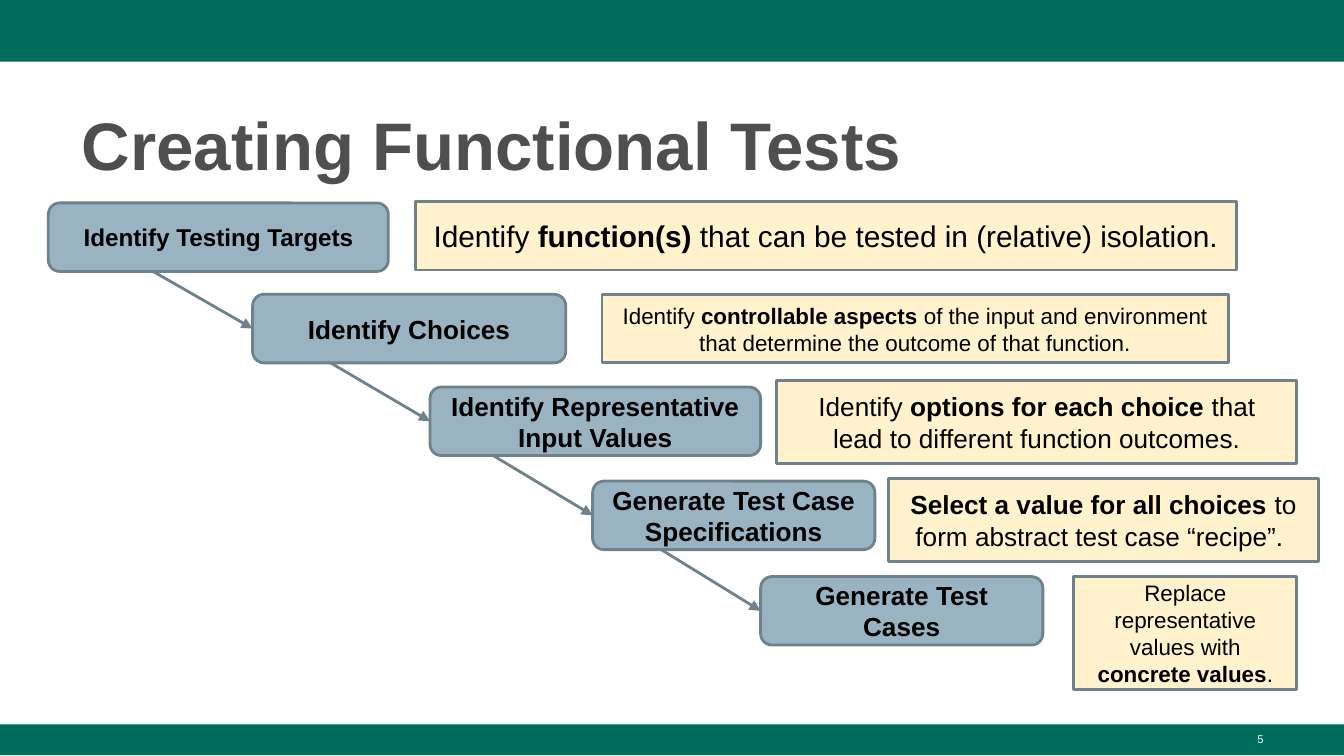
from lxml import etree
from pptx import Presentation
from pptx.dml.color import RGBColor
from pptx.enum.shapes import MSO_CONNECTOR, MSO_SHAPE
from pptx.enum.text import MSO_ANCHOR, PP_ALIGN
from pptx.oxml.ns import qn
from pptx.util import Inches, Pt

GREEN = RGBColor(0x00, 0x6C, 0x5C)
GREY = RGBColor(0x4F, 0x4F, 0x4F)
STEEL = RGBColor(0x6F, 0x82, 0x8C)
BLUE = RGBColor(0x99, 0xB3, 0xC2)
CREAM = RGBColor(0xFF, 0xF2, 0xCC)
BLACK = RGBColor(0x00, 0x00, 0x00)
WHITE = RGBColor(0xFF, 0xFF, 0xFF)

STEP_HEIGHT = 0.51
ARROW_RUN = 0.74

STAGES = [
    ((0.36, 1.51, 2.53), "Identify Testing Targets", 13,
     (3.09, 1.5, 6.11, 0.51), 16,
     [("Identify ", False), ("function(s)", True),
      (" that can be tested in (relative) isolation.", False)]),
    ((1.88, 2.19, 2.33), "Identify Choices", 14,
     (4.48, 2.19, 4.66, 0.51), 12,
     [("Identify ", False), ("controllable aspects", True),
      (" of the input and environment that determine the outcome of that function.", False)]),
    ((3.2, 2.88, 2.46), "Identify Representative Input Values", 14,
     (5.78, 2.83, 3.87, 0.62), 14,
     [("Identify ", False), ("options for each choice", True),
      (" that lead to different function outcomes.", False)]),
    ((4.41, 3.58, 2.1), "Generate Test Case Specifications", 14,
     (6.61, 3.56, 3.2, 0.62), 14,
     [("Select a value for all choices", True),
      (" to form abstract test case “recipe”. ", False)]),
    ((5.66, 4.29, 2.1), "Generate Test Cases", 14,
     (7.99, 4.29, 1.66, 0.84), 12,
     [("Replace representative values with ", False), ("concrete values", True),
      (".", False)]),
]


def write_text(shape, runs, size, color, alignment):
    """Fill a shape with one paragraph of (text, bold) runs."""
    shape.text_frame.word_wrap = True
    paragraph = shape.text_frame.paragraphs[0]
    paragraph.alignment = alignment
    for text, bold in runs:
        run = paragraph.add_run()
        run.text = text
        run.font.name = "Arial"
        run.font.size = Pt(size)
        run.font.bold = bold
        run.font.color.rgb = color
    return paragraph


def add_band(slide, box):
    """Add a plain green band across the slide."""
    band = slide.shapes.add_shape(MSO_SHAPE.RECTANGLE, *map(Inches, box))
    band.shadow.inherit = False
    band.fill.solid()
    band.fill.fore_color.rgb = GREEN
    band.line.fill.background()


def add_label(slide, box, text, size, color, alignment, bold=False):
    """Add a text box with a single run and return its paragraph."""
    label = slide.shapes.add_textbox(*map(Inches, box))
    return write_text(label, [(text, bold)], size, color, alignment)


def add_card(slide, kind, box, fill, runs, size):
    """Add an outlined box with centred text."""
    card = slide.shapes.add_shape(kind, *map(Inches, box))
    card.shadow.inherit = False
    card.fill.solid()
    card.fill.fore_color.rgb = fill
    card.line.color.rgb = STEEL
    card.line.width = Pt(1.5)
    frame = card.text_frame
    frame.vertical_anchor = MSO_ANCHOR.MIDDLE
    frame.margin_left = frame.margin_right = Inches(0.1)
    frame.margin_top = frame.margin_bottom = Inches(0.1)
    write_text(card, runs, size, BLACK, PP_ALIGN.CENTER)
    return card


def add_arrow(slide, upper, lower):
    """Point from the bottom of one step to the left side of the next."""
    arrow = slide.shapes.add_connector(
        MSO_CONNECTOR.STRAIGHT,
        lower.left - Inches(ARROW_RUN), upper.top + upper.height,
        lower.left, lower.top + lower.height // 2)
    arrow.end_connect(lower, 1)
    arrow.line.color.rgb = STEEL
    arrow.line.width = Pt(1.5)
    line = arrow.line._get_or_add_ln()
    etree.SubElement(line, qn("a:tailEnd"), type="triangle")
    etree.SubElement(arrow._element.spPr, qn("a:effectLst"))


def add_cascade(slide, stages):
    """Add the descending steps, their explanations and the arrows between."""
    steps = []
    for (left, top, width), name, name_size, note_box, note_size, note in stages:
        steps.append(add_card(slide, MSO_SHAPE.ROUNDED_RECTANGLE,
                              (left, top, width, STEP_HEIGHT), BLUE,
                              [(name, True)], name_size))
        add_card(slide, MSO_SHAPE.RECTANGLE, note_box, CREAM, note, note_size)
    for upper, lower in zip(steps, steps[1:]):
        add_arrow(slide, upper, lower)


def main():
    """Build and save the presentation."""
    presentation = Presentation()
    presentation.slide_width = Inches(10)
    presentation.slide_height = presentation.slide_width * 9 // 16
    slide = presentation.slides.add_slide(presentation.slide_layouts[6])
    add_band(slide, (0, 0, 10, 0.46))
    add_band(slide, (0, 5.39, 10, 0.23))
    title = add_label(slide, (0.51, 0.67, 8.99, 0.73), "Creating Functional Tests",
                      36, GREY, PP_ALIGN.LEFT, bold=True)
    title.line_spacing = 1.08
    add_cascade(slide, STAGES)
    add_label(slide, (7.17, 5.4, 2.33, 0.23), "5", 6, WHITE, PP_ALIGN.RIGHT)
    presentation.save("out.pptx")


if __name__ == "__main__":
    main()
